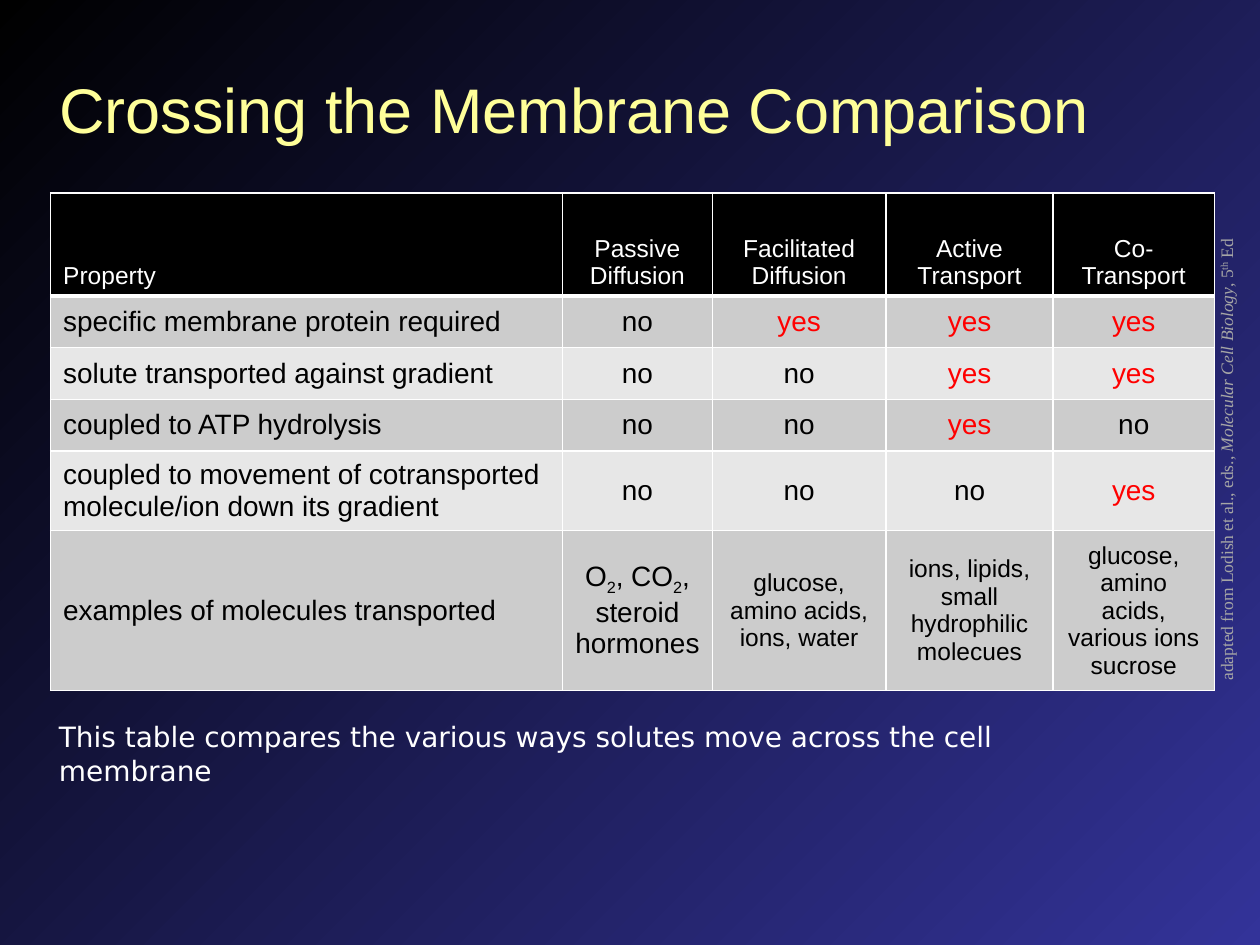
from lxml.etree import SubElement
from pptx import Presentation
from pptx.dml.color import RGBColor
from pptx.enum.text import MSO_ANCHOR, MSO_AUTO_SIZE, PP_ALIGN
from pptx.oxml.ns import qn
from pptx.util import Cm, Pt

COLOURS = {
    "black": "000000", "blue": "333399", "white": "FFFFFF", "title": "FFFF99",
    "dark_row": "CCCCCC", "light_row": "E7E7E7", "yes": "FF0000", "credit": "A6A6A6",
}
COLUMN_WIDTHS = (10.32, 3.02, 3.5, 3.37, 3.25)
HEADER_HEIGHT, ROW_HEIGHT = 2.08, 1.04
HEADER = ("Property", "Passive Diffusion", "Facilitated Diffusion",
          "Active Transport", "Co-Transport")
ANSWERS = (
    ("specific membrane protein required", "no", "yes", "yes", "yes"),
    ("solute transported against gradient", "no", "no", "yes", "yes"),
    ("coupled to ATP hydrolysis", "no", "no", "yes", "no"),
    ("coupled to movement of cotransported molecule/ion down its gradient",
     "no", "no", "no", "yes"),
)
SUBSCRIPT = {"baseline": -25}
OXYGEN_AND_STEROIDS = (("O", {}), ("2", SUBSCRIPT), (", CO", {}),
                       ("2", SUBSCRIPT), (", steroid hormones", {}))
EXAMPLES = (
    ("glucose, amino acids, ions, water",),
    ("ions, lipids, small hydrophilic molecues",),
    ("glucose, amino acids, various ions", "sucrose"),
)
CREDIT = (("adapted from Lodish et al., eds., ", {}),
          ("Molecular Cell Biology", {"italic": True}),
          (", 5", {}), ("th", {"baseline": 30}), (" Ed", {}))


def rgb(name):
    return RGBColor.from_string(COLOURS[name])


def add_span(para, text, size, colour, font="Arial", italic=False, baseline=0):
    """Add one run; baseline is a percentage, negative for subscripts."""
    span = para.add_run()
    span.text = text
    span.font.name = font
    span.font.size = Pt(size)
    span.font.color.rgb = rgb(colour)
    if italic:
        span.font.italic = True
    if baseline:
        span._r.get_or_add_rPr().set("baseline", str(baseline * 1000))


def paint_background(page):
    fill = page.background.fill
    fill.gradient()
    fill.gradient_angle = 315
    for stop, colour in zip(fill.gradient_stops, ("black", "blue")):
        stop.color.rgb = rgb(colour)


def place_title(page, text):
    title = page.shapes.title
    title.left, title.top, title.width, title.height = Cm(0.94), Cm(1.12), Cm(23.34), Cm(2.11)
    frame = title.text_frame
    frame.vertical_anchor = MSO_ANCHOR.MIDDLE
    frame.auto_size = MSO_AUTO_SIZE.SHAPE_TO_FIT_TEXT
    para = frame.paragraphs[0]
    para.alignment = PP_ALIGN.LEFT
    add_span(para, text, 36, "title")


def add_text(page, left, top, width, height, spans, size, colour, font, rotation=0):
    box = page.shapes.add_textbox(Cm(left), Cm(top), Cm(width), Cm(height))
    box.rotation = rotation
    frame = box.text_frame
    frame.word_wrap = True
    frame.auto_size = MSO_AUTO_SIZE.SHAPE_TO_FIT_TEXT
    for text, style in spans:
        add_span(frame.paragraphs[0], text, size, colour, font, **style)


def add_borders(cell, bottom_width):
    properties = cell._tc.get_or_add_tcPr()
    widths = {"a:lnL": 1, "a:lnR": 1, "a:lnT": 1, "a:lnB": bottom_width}
    for tag, width in widths.items():
        line = SubElement(properties, qn(tag), w=str(Pt(width)))
        fill = SubElement(line, qn("a:solidFill"))
        SubElement(fill, qn("a:srgbClr"), val=COLOURS["white"])


def fill_cell(cell, paragraphs, size, colour, fill, centred, header=False):
    """Write paragraphs, each a sequence of (text, style) spans, in a cell."""
    add_borders(cell, 3 if header else 1)
    cell.fill.solid()
    cell.fill.fore_color.rgb = rgb(fill)
    cell.vertical_anchor = MSO_ANCHOR.BOTTOM if header else MSO_ANCHOR.MIDDLE
    for index, spans in enumerate(paragraphs):
        frame = cell.text_frame
        para = frame.add_paragraph() if index else frame.paragraphs[0]
        para.alignment = PP_ALIGN.CENTER if centred else PP_ALIGN.LEFT
        for text, style in spans:
            add_span(para, text, size, colour, **style)


def plain(*texts):
    return [[(text, {})] for text in texts]


def add_comparison(page):
    row_count = len(ANSWERS) + 2
    table = page.shapes.add_table(row_count, len(HEADER), Cm(1.02), Cm(3.89),
                                  Cm(sum(COLUMN_WIDTHS)), Cm(9.98)).table
    table.horz_banding = False
    for column, width in zip(table.columns, COLUMN_WIDTHS):
        column.width = Cm(width)
    for index, row in enumerate(table.rows):
        row.height = Cm(ROW_HEIGHT if index else HEADER_HEIGHT)

    for column, text in enumerate(HEADER):
        fill_cell(table.cell(0, column), plain(text), 14, "white", "black",
                  column > 0, header=True)
    for row, answers in enumerate(ANSWERS, 1):
        fill = "dark_row" if row % 2 else "light_row"
        for column, text in enumerate(answers):
            colour = "yes" if text == "yes" else "black"
            fill_cell(table.cell(row, column), plain(text), 16, colour, fill, column > 0)

    last = row_count - 1
    fill_cell(table.cell(last, 0), plain("examples of molecules transported"),
              16, "black", "dark_row", False)
    fill_cell(table.cell(last, 1), [OXYGEN_AND_STEROIDS], 16, "black", "dark_row", True)
    for column, texts in enumerate(EXAMPLES, 2):
        fill_cell(table.cell(last, column), plain(*texts), 14, "black", "dark_row", True)


def main():
    deck = Presentation()
    deck.slide_width, deck.slide_height = Cm(25.4), Cm(19.05)
    page = deck.slides.add_slide(deck.slide_layouts.get_by_name("Title Only"))
    paint_background(page)
    place_title(page, "Crossing the Membrane Comparison")
    add_comparison(page)
    add_text(page, 19.91, 8.81, 9.63, 0.69, CREDIT, 10, "credit", "Times New Roman", 270)
    caption = "This table compares the various ways solutes move across the cell membrane"
    add_text(page, 0.94, 14.38, 21.89, 1.63, [(caption, {})], 16, "white", "DejaVu Sans")
    deck.save("out.pptx")


if __name__ == "__main__":
    main()
